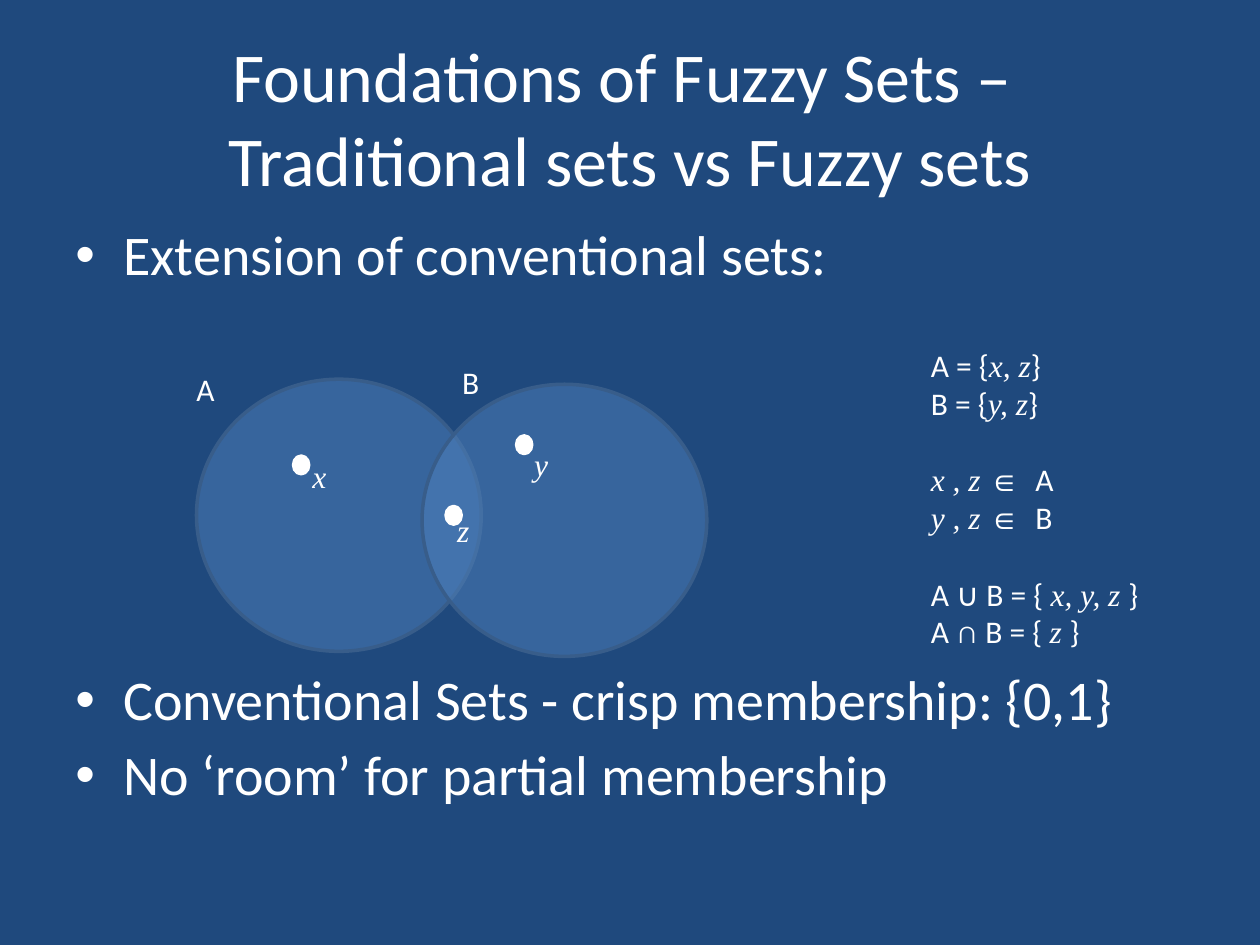
import pptx
import pptx.util
import pptx.dml.color
import pptx.enum.shapes
import pptx.enum.text
import pptx.oxml.ns
from lxml import etree

Inches = pptx.util.Inches
Pt = pptx.util.Pt
RGBColor = pptx.dml.color.RGBColor
Anchor = pptx.enum.text.MSO_ANCHOR
Align = pptx.enum.text.PP_ALIGN
Auto = pptx.enum.text.MSO_AUTO_SIZE
OVAL = pptx.enum.shapes.MSO_SHAPE.OVAL
qn = pptx.oxml.ns.qn

NAVY = RGBColor(0x1F, 0x49, 0x7D)
BLUE = RGBColor(0x4F, 0x81, 0xBD)
EDGE = RGBColor(0x38, 0x5D, 0x8A)
WHITE = RGBColor(0xFF, 0xFF, 0xFF)

TITLE = "Foundations of Fuzzy Sets – \vTraditional sets vs Fuzzy sets"
POINTS = [
    ("Extension of conventional sets:", 0),
    ("Conventional Sets - crisp membership: {0,1}", 220),
    ("No ‘room’ for partial membership", 8),
]
RULES = [
    (0, [("A = {", "set"), ("x, z", "var"), ("}", "set")]),
    (0, [("B = {", "set"), ("y, z", "var"), ("}", "set")]),
    (22, [("x , z ∈\t", "var"), ("A", "set")]),
    (0, [("y , z ∈\t", "var"), ("B", "set")]),
    (22, [("A ∪ B = { ", "set"), ("x, y, z ", "var"), ("}", "set")]),
    (0, [("A ∩ B = { ", "set"), ("z ", "var"), ("}", "set")]),
]
RINGS = [(1.56, 3.01), (3.35, 3.05)]
DOTS = [(2.33, 3.62), (4.1, 3.46), (3.54, 4.02)]
LABELS = [
    ("A", "set", 1.46, 2.89),
    ("B", "set", 3.57, 2.83),
    ("x", "var", 2.38, 3.58),
    ("y", "var", 4.14, 3.48),
    ("z", "var", 3.53, 4.01),
]
FORMATS = {
    "title": {"name": "Calibri", "size": Pt(40)},
    "point": {"name": "Calibri", "size": Pt(32)},
    "set": {"name": "Calibri", "size": Pt(18), "italic": False},
    "var": {"name": "Times New Roman", "size": Pt(18), "italic": True},
}


def style(font, kind):
    for key, value in FORMATS[kind].items():
        setattr(font, key, value)
    font.color.rgb = WHITE


def add_runs(para, runs):
    for text, kind in runs:
        run = para.add_run()
        run.text = text
        style(run.font, kind)


def add_box(shapes, area, rows, auto):
    frame = shapes.add_textbox(*map(Inches, area)).text_frame
    frame.word_wrap = True
    frame.auto_size = auto
    for i, (gap, runs) in enumerate(rows):
        para = frame.paragraphs[0] if i == 0 else frame.add_paragraph()
        para.space_before = Pt(gap)
        add_runs(para, runs)
    return frame


def add_oval(shapes, area, fill, line):
    oval = shapes.add_shape(OVAL, *map(Inches, area))
    oval.shadow.inherit = False
    oval.fill.solid()
    oval.fill.fore_color.rgb = fill
    oval.line.color.rgb = line
    oval.line.width = Pt(2)
    return oval


def add_bullet(para):
    props = para._p.get_or_add_pPr()
    props.set("marL", str(Inches(0.38)))
    props.set("indent", str(-Inches(0.38)))
    color = etree.SubElement(props, qn("a:buClr"))
    etree.SubElement(color, qn("a:srgbClr"), val=str(WHITE))
    etree.SubElement(props, qn("a:buFont"), typeface="Arial")
    etree.SubElement(props, qn("a:buChar"), char="•")


def add_tab(para, place):
    tabs = etree.SubElement(para._p.get_or_add_pPr(), qn("a:tabLst"))
    etree.SubElement(tabs, qn("a:tab"), pos=str(Inches(place)), algn="l")


def add_title(slide):
    title = slide.shapes.title
    title.left, title.top, title.width, title.height = map(Inches, (0.5, 0.3, 9, 1.25))
    frame = title.text_frame
    frame.text = TITLE
    frame.word_wrap = True
    frame.auto_size = Auto.NONE
    frame.vertical_anchor = Anchor.MIDDLE
    para = frame.paragraphs[0]
    para.alignment = Align.CENTER
    for run in para.runs:
        style(run.font, "title")


def add_points(shapes):
    rows = [(gap, [(text, "point")]) for text, gap in POINTS]
    frame = add_box(shapes, (0.5, 1.75, 9, 4.95), rows, Auto.NONE)
    for para in frame.paragraphs:
        para.line_spacing = 0.9
        add_bullet(para)


def add_rules(shapes):
    frame = add_box(shapes, (7.29, 2.7, 2.27, 2.5), RULES, Auto.SHAPE_TO_FIT_TEXT)
    for para, (gap, runs) in zip(frame.paragraphs, RULES):
        if "\t" in runs[0][0]:
            add_tab(para, 0.83)


def add_venn(shapes):
    for left, top in RINGS:
        ring = add_oval(shapes, (left, top, 2.26, 2.16), BLUE, EDGE)
        color = ring.fill._xPr.find(qn("a:solidFill"))[0]
        etree.SubElement(color, qn("a:alpha"), val="50000")
    for left, top in DOTS:
        add_oval(shapes, (left, top, 0.12, 0.14), WHITE, WHITE)
    for text, kind, left, top in LABELS:
        area = (left, top, 0.38, 0.4)
        add_box(shapes, area, [(0, [(text, kind)])], Auto.SHAPE_TO_FIT_TEXT)


def main():
    deck = pptx.Presentation()
    deck.slide_width, deck.slide_height = Inches(10), Inches(7.5)
    slide = deck.slides.add_slide(deck.slide_layouts[5])
    slide.background.fill.solid()
    slide.background.fill.fore_color.rgb = NAVY
    add_title(slide)
    add_points(slide.shapes)
    add_rules(slide.shapes)
    add_venn(slide.shapes.add_group_shape().shapes)
    deck.save("out.pptx")


if __name__ == "__main__":
    main()
